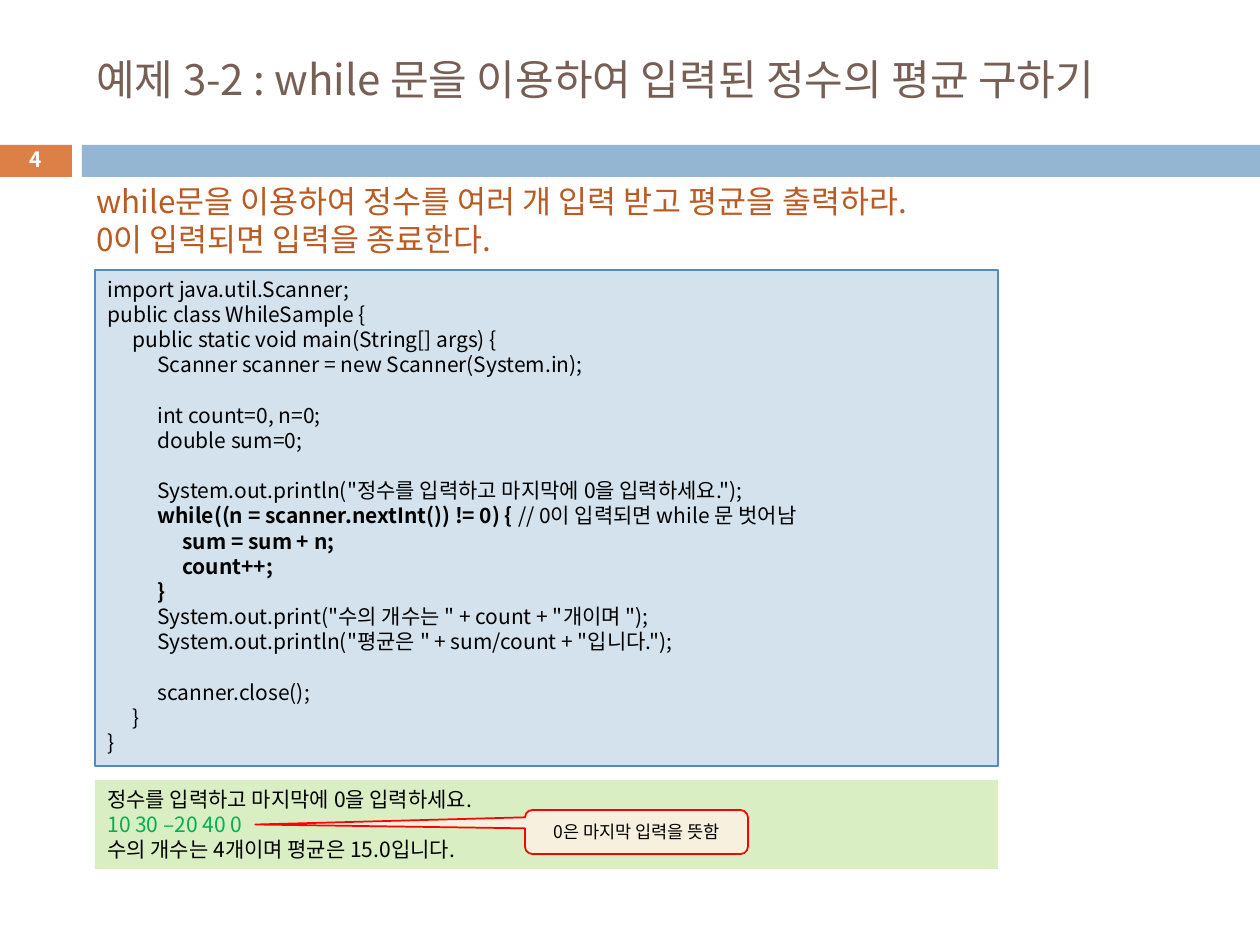
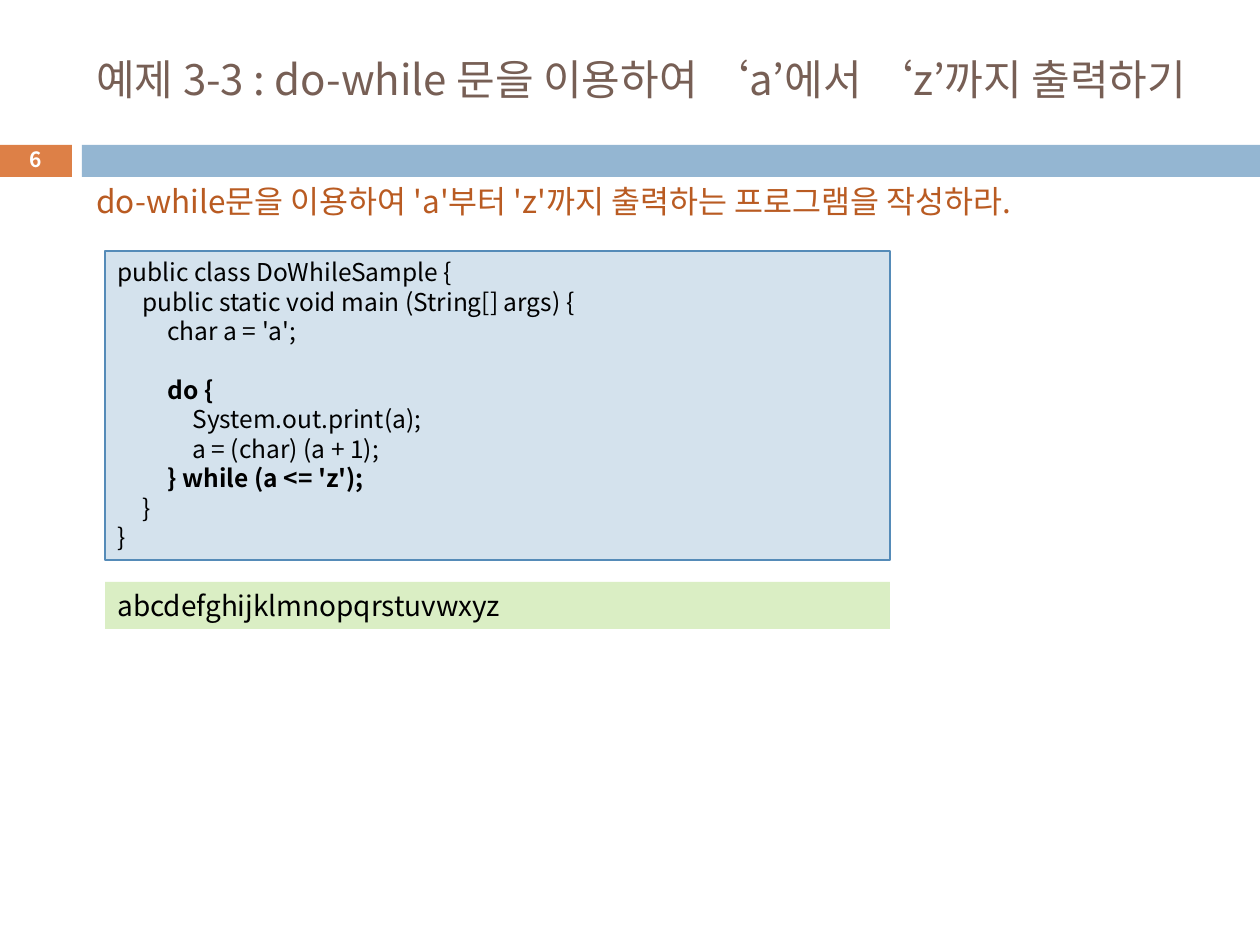
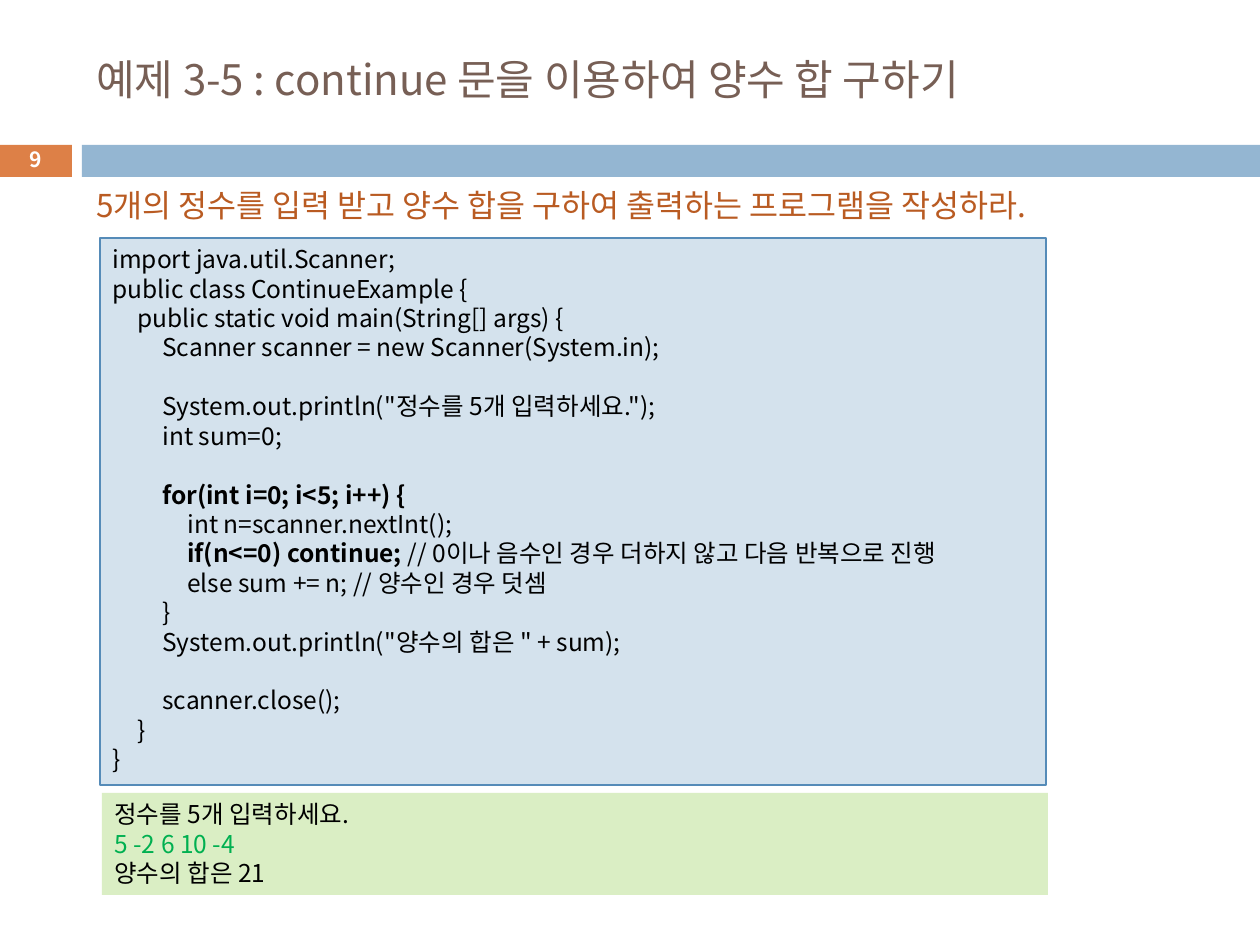
from dataclasses import dataclass

from pptx import Presentation
from pptx.dml.color import RGBColor
from pptx.enum.shapes import MSO_SHAPE as Preset
from pptx.enum.text import MSO_ANCHOR as Anchor, PP_ALIGN as Align
from pptx.oxml.ns import qn
from pptx.util import Emu, Pt

PX = 914400 / 126


@dataclass(frozen=True)
class Theme:
    font: str = "Noto Sans CJK KR"
    title: str = "775F55"
    task: str = "B95B22"
    text: str = "000000"
    typed: str = "00B050"
    white: str = "FFFFFF"
    number_band: str = "DD8047"
    band: str = "94B6D2"
    code_fill: str = "D4E2ED"
    code_line: str = "558BB8"
    output_fill: str = "DAEEC4"
    note_fill: str = "F7F0DE"
    note_line: str = "FF0000"
    title_size: int = 24
    task_size: int = 18
    number_size: int = 12
    note_size: int = 10
    line_pitch: float = 1.2
    tab: int = 25


theme = Theme()


def add_box(slide, box, preset=None, fill=None, line=None, line_width=0.75):
    place = [Emu(round(length * PX)) for length in box]
    if preset is None:
        return slide.shapes.add_textbox(*place)
    shape = slide.shapes.add_shape(preset, *place)
    shape.shadow.inherit = False
    shape.fill.solid()
    shape.fill.fore_color.rgb = RGBColor.from_string(fill)
    if line:
        shape.line.color.rgb = RGBColor.from_string(line)
        shape.line.width = Pt(line_width)
    else:
        shape.line.fill.background()
    return shape


# Leading tabs set the indent, an empty line adds space, ** encloses emphasis.
def write(shape, text, size, color, bold=False, marked_color=None,
          anchor=Anchor.TOP, align=Align.LEFT):
    frame = shape.text_frame
    frame.word_wrap = True
    frame.vertical_anchor = anchor
    paragraph = frame.paragraphs[0]
    pitch = Pt(size * theme.line_pitch)
    gap = 0
    for number, line in enumerate(text.split("\n")):
        if not line:
            gap += pitch
            continue
        if number:
            paragraph = frame.add_paragraph()
        content = line.lstrip("\t")
        depth = len(line) - len(content)
        paragraph.alignment = align
        paragraph.line_spacing = pitch
        paragraph.space_before = Emu(gap)
        gap = 0
        if depth:
            paragraph._p.get_or_add_pPr().set("marL", str(round(depth * theme.tab * PX)))
        for position, part in enumerate(content.split("**")):
            if not part:
                continue
            marked = position % 2 == 1
            run = paragraph.add_run()
            run.text = part
            run.font.size = Pt(size)
            run.font.name = theme.font
            run.font.bold = bold or (marked and marked_color is None)
            run.font.color.rgb = RGBColor.from_string(marked_color if marked and marked_color else color)
            east_asian = run._r.get_or_add_rPr().makeelement(qn("a:ea"), {"typeface": theme.font})
            run.font._element.find(qn("a:latin")).addnext(east_asian)


WHILE_CODE = """import java.util.Scanner;
public class WhileSample {
\tpublic static void main(String[] args) {
\t\tScanner scanner = new Scanner(System.in);

\t\tint count=0, n=0;
\t\tdouble sum=0;

\t\tSystem.out.println("정수를 입력하고 마지막에 0을 입력하세요.");
\t\t**while((n = scanner.nextInt()) != 0) { **// 0이 입력되면 while 문 벗어남
\t\t\t**sum = sum + n;**
\t\t\t**count++;**
\t\t**}**
\t\tSystem.out.print("수의 개수는 " + count + "개이며 ");
\t\tSystem.out.println("평균은 " + sum/count + "입니다.");

\t\tscanner.close();
\t}
}"""

DO_WHILE_CODE = """public class DoWhileSample {
\tpublic static void main (String[] args) {
\t\tchar a = 'a';

\t\t**do {**
\t\t\tSystem.out.print(a);
\t\t\ta = (char) (a + 1);
\t\t**} while (a <= 'z');**
\t}
}"""

CONTINUE_CODE = """import java.util.Scanner;
public class ContinueExample {
\tpublic static void main(String[] args) {
\t\tScanner scanner = new Scanner(System.in);

\t\tSystem.out.println("정수를 5개 입력하세요.");
\t\tint sum=0;

\t\t**for(int i=0; i<5; i++) {**
\t\t\tint n=scanner.nextInt();
\t\t\t**if(n<=0) continue;** // 0이나 음수인 경우 더하지 않고 다음 반복으로 진행
\t\t\telse sum += n; // 양수인 경우 덧셈
\t\t}
\t\tSystem.out.println("양수의 합은 " + sum);

\t\tscanner.close();
\t}
}"""

examples = [
    dict(
        number="4",
        title="예제 3-2 : while 문을 이용하여 입력된 정수의 평균 구하기",
        title_width=1150,
        task="while문을 이용하여 정수를 여러 개 입력 받고 평균을 출력하라.\n0이 입력되면 입력을 종료한다.",
        task_box=(84, 176, 1077, 89),
        code=WHILE_CODE, code_size=12, code_box=(95, 270, 903, 496),
        output="정수를 입력하고 마지막에 0을 입력하세요.\n**10 30 –20 40 0**\n수의 개수는 4개이며 평균은 15.0입니다.",
        output_size=12, output_box=(95, 780, 903, 89),
        note="0은 마지막 입력을 뜻함",
    ),
    dict(
        number="6",
        title="예제 3-3 : do-while 문을 이용하여 ‘a’에서 ‘z’까지 출력하기",
        title_width=1150,
        task="do-while문을 이용하여 'a'부터 'z'까지 출력하는 프로그램을 작성하라.",
        task_box=(84, 176, 1077, 50),
        code=DO_WHILE_CODE, code_size=14, code_box=(105, 251, 785, 309),
        output="abcdefghijklmnopqrstuvwxyz",
        output_size=16, output_box=(105, 582, 785, 47),
        note=None,
    ),
    dict(
        number="9",
        title="예제 3-5 : continue 문을 이용하여 양수 합 구하기",
        title_width=1124,
        task="5개의 정수를 입력 받고 양수 합을 구하여 출력하는 프로그램을 작성하라.",
        task_box=(84, 180, 1077, 50),
        code=CONTINUE_CODE, code_size=14, code_box=(100, 238, 946, 547),
        output="정수를 5개 입력하세요.\n**5 -2 6 10 -4**\n양수의 합은 21",
        output_size=14, output_box=(102, 793, 946, 102),
        note=None,
    ),
]

presentation = Presentation()
presentation.slide_width = Emu(round(1260 * PX))
presentation.slide_height = Emu(round(945 * PX))

for example in examples:
    slide = presentation.slides.add_slide(presentation.slide_layouts[6])
    add_box(slide, (-1, 145, 73, 32), Preset.RECTANGLE, theme.number_band)
    add_box(slide, (82, 145, 1178, 32), Preset.RECTANGLE, theme.band)

    title = add_box(slide, (84, 32, example["title_width"], 93))
    write(title, example["title"], theme.title_size, theme.title, anchor=Anchor.MIDDLE)

    code = add_box(slide, example["code_box"], Preset.RECTANGLE, theme.code_fill, theme.code_line)
    write(code, example["code"], example["code_size"], theme.text)

    task = add_box(slide, example["task_box"])
    write(task, example["task"], theme.task_size, theme.task)

    output = add_box(slide, example["output_box"], Preset.RECTANGLE, theme.output_fill)
    write(output, example["output"], example["output_size"], theme.text, marked_color=theme.typed)

    number = add_box(slide, (-1, 142, 73, 34))
    write(number, example["number"], theme.number_size, theme.white, bold=True,
          anchor=Anchor.MIDDLE, align=Align.CENTER)

    if example["note"]:
        note = add_box(slide, (525, 810, 223, 44), Preset.ROUNDED_RECTANGULAR_CALLOUT,
                       theme.note_fill, theme.note_line, 1)
        for index, value in enumerate((-1.71, -0.17, 0.17)):
            note.adjustments[index] = value
        write(note, example["note"], theme.note_size, theme.text,
              anchor=Anchor.MIDDLE, align=Align.CENTER)

presentation.save("out.pptx")
